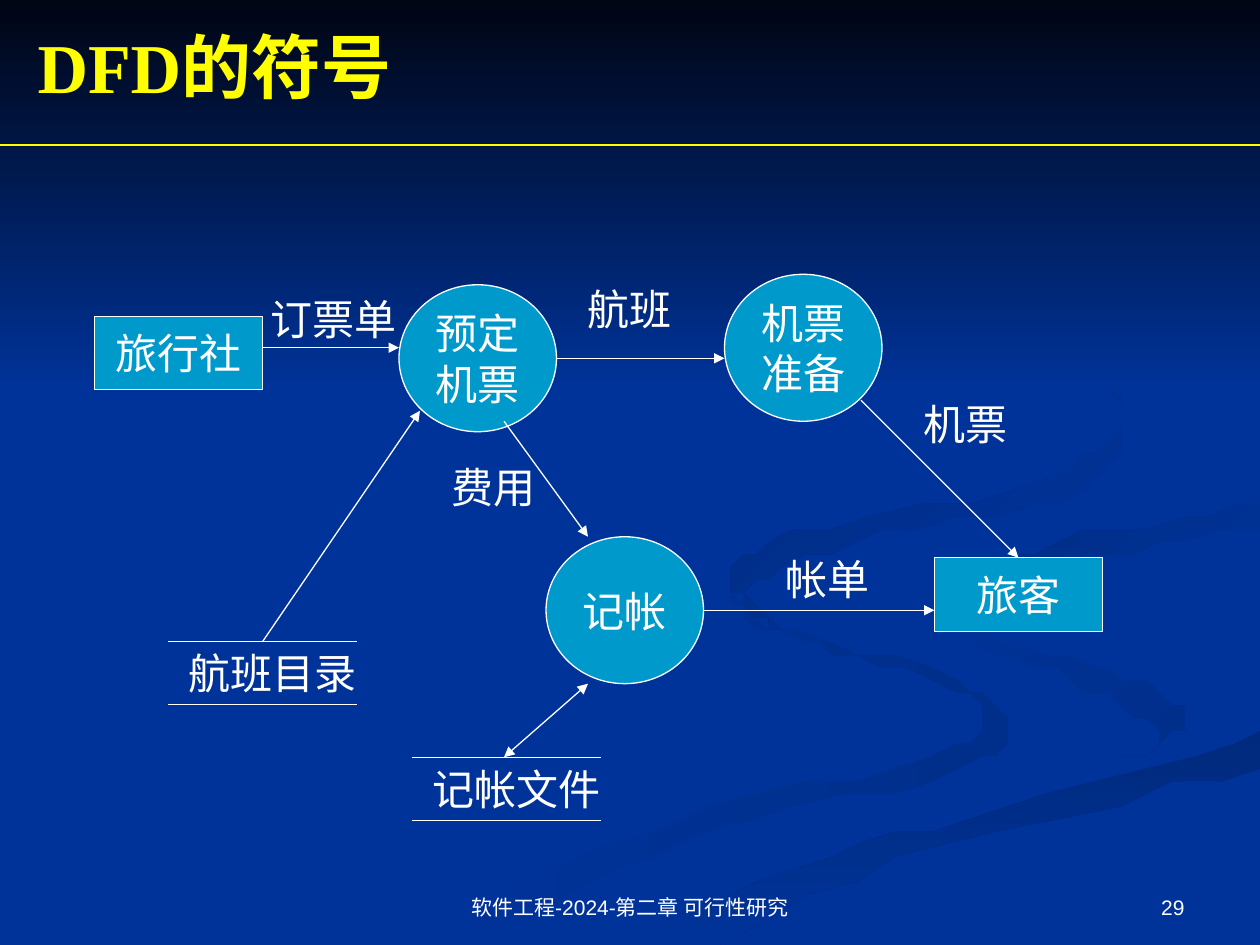
from lxml import etree
from pptx import Presentation
from pptx.dml.color import RGBColor
from pptx.enum.shapes import MSO_CONNECTOR, MSO_SHAPE
from pptx.enum.text import MSO_ANCHOR, PP_ALIGN
from pptx.oxml.ns import qn
from pptx.util import Inches, Pt

LINE = MSO_CONNECTOR.STRAIGHT
RECT, OVAL = MSO_SHAPE.RECTANGLE, MSO_SHAPE.OVAL
LEFT, MID, RIGHT = PP_ALIGN.LEFT, PP_ALIGN.CENTER, PP_ALIGN.RIGHT
TOP, CORE, BASE = MSO_ANCHOR.TOP, MSO_ANCHOR.MIDDLE, MSO_ANCHOR.BOTTOM
WIDE, HIGH = 10, 7.5
SERIF, SANS = "Times New Roman", "Arial"
HUES = {"back": "003399", "night": "000514", "node": "0099CC", "ink": "FFFFFF",
        "title": "FFFF00", "wave": "002E8B", "ridge": "002A7D",
        "bend": "002D86", "loop": "002B82"}
BANDS = [
    ("back", "wave", 0, [
        [(57, 46), (60, 49.5), (68, 52), (78, 56), (74, 60), (52, 65.5), (30, 75)],
        [(36, 75), (56, 66.5), (76, 61), (80, 58), (76, 54), (61, 49.5), (57, 46)]]),
    ("back", "wave", 45, [
        [(72, 46), (78, 50.5), (88, 53), (94, 57), (89, 60.5)],
        [(89, 60.5), (92, 58), (85, 54), (76, 50.5), (72, 46)]]),
    ("ridge", "back", 90, [
        [(50, 75), (63, 69), (80, 64), (100, 58)],
        [(100, 61), (75, 67), (57, 75)]]),
    ("bend", "back", 45, [
        [(83, 49.6), (80.5, 47), (88, 44), (100, 42)],
        [(100, 40), (86, 42.5), (78, 46), (83, 49.6)]]),
    ("loop", "back", 45, [
        [(76, 23), (86, 29), (89, 33.5), (83, 38), (63, 42.5), (58, 46), (62, 50)],
        [(62, 50), (59, 47), (68, 43), (84, 39.6), (89, 35), (87, 29.5), (76, 23)]]),
    ("night", "back", 90, [[(0, 0), (100, 0)], [(100, 31), (0, 31)]]),
]


def tint(name):
    """Return the named colour."""
    return RGBColor.from_string(HUES[name])


def put(shape, text, size=24, font=SERIF, hue="ink", bold=False,
        align=LEFT, anchor=TOP, wrap=False):
    """Write formatted text into a shape."""
    frame = shape.text_frame
    frame.text = text
    frame.word_wrap = wrap
    frame.vertical_anchor = anchor
    for para in frame.paragraphs:
        para.alignment = align
        para.font.size, para.font.name = Pt(size), font
        para.font.bold, para.font.color.rgb = bold, tint(hue)


def note(slide, box, text, **form):
    """Add a text box filling the given box."""
    put(slide.shapes.add_textbox(*map(Inches, box)), text, **form)


def link(slide, start, end, hue="ink", tips=()):
    """Draw a thin line with arrowheads at the named tips."""
    line = slide.shapes.add_connector(LINE, *map(Inches, (*start, *end)))
    line.line.color.rgb, line.line.width = tint(hue), Pt(0.75)
    for tip in tips:
        etree.SubElement(line.line._get_or_add_ln(), qn(f"a:{tip}"), type="triangle")
    etree.SubElement(line._element.spPr, qn("a:effectLst"))


def curve(knots, steps=6):
    """Return points on a smooth curve through the knots."""
    ends = [knots[0], *knots, knots[-1]]
    spots = [knots[0]]
    for quad in zip(ends, ends[1:], ends[2:], ends[3:]):
        for step in range(1, steps + 1):
            t = step / steps
            spots.append(tuple(
                b + t / 2 * (c - a + t * (2 * a - 5 * b + 4 * c - d
                                          + t * (3 * (b - c) + d - a)))
                for a, b, c, d in zip(*quad)))
    return spots


def scene(slide, box):
    """Paint the backdrop and its curved bands on a grid of 100 columns."""
    left, top, width, _ = box
    slide.background.fill.solid()
    slide.background.fill.fore_color.rgb = tint("back")
    for first, last, turn, edges in BANDS:
        spots = [spot for edge in edges for spot in curve(edge)]
        pen = slide.shapes.build_freeform(*spots[0], scale=Inches(width / 100))
        pen.add_line_segments(spots[1:], close=True)
        band = pen.convert_to_shape(Inches(left), Inches(top))
        band.shadow.inherit = False
        band.line.fill.background()
        band.fill.gradient()
        band.fill.gradient_angle = (360 - turn) % 360
        for stop, hue in zip(band.fill.gradient_stops, (first, last)):
            stop.color.rgb = tint(hue)


def head(slide, box):
    """Place the title above its rule."""
    left, top, width, height = box
    note(slide, (left + width * 0.02, top + height * 0.12, width * 0.9, height * 0.67),
         "DFD的符号", size=40, hue="title", bold=True, anchor=CORE, wrap=True)
    link(slide, (left, top + height), (left + width, top + height), hue="title")


def chart(slide, box):
    """Draw the data flow diagram on a grid of 120 columns."""
    left, top, width, _ = box
    unit = width / 120

    def spot(col, row):
        """Turn a grid point into inches."""
        return left + col * unit, top + row * unit

    def label(col, row, text):
        """Place a label as wide as its characters."""
        note(slide, (*spot(col, row), (4 * len(text) + 2.4) * unit, 6 * unit), text)

    sizes = {RECT: (16, 7), OVAL: (15, 14)}
    for kind, col, row, text in [
            (RECT, 9, 30, "旅行社"), (RECT, 89, 53, "旅客"),
            (OVAL, 38, 27, "预定\n机票"), (OVAL, 69, 26, "机票\n准备"),
            (OVAL, 52, 51, "记帐")]:
        size = [Inches(span * unit) for span in sizes[kind]]
        node = slide.shapes.add_shape(kind, *map(Inches, spot(col, row)), *size)
        node.shadow.inherit = False
        node.fill.solid()
        node.fill.fore_color.rgb = tint("node")
        node.line.color.rgb, node.line.width = tint("ink"), Pt(0.75)
        put(node, text, align=MID, anchor=CORE)
    for col, row, text in [(16, 61, "航班目录"), (39.2, 72, "记帐文件")]:
        for edge in (row, row + 6):
            link(slide, spot(col, edge), spot(col + 18, edge))
        label(col + 0.8, row, text)
    for start, end, *more in [
            ((25, 33), (38, 33)), ((53, 34), (69, 34)), ((82, 38), (97, 53)),
            ((48, 40), (56, 51)), ((25, 61), (40, 39)),
            ((48, 72), (56, 65), "headEnd"), ((67, 58), (89, 58))]:
        link(slide, spot(*start), spot(*end), tips=(*more, "tailEnd"))
    for flow in [(24.6, 27.2, "订票单"), (54.8, 26.3, "航班"), (41.8, 43.2, "费用"),
                 (73.6, 52, "帐单"), (86.8, 37.2, "机票")]:
        label(*flow)


def foot(slide, box):
    """Place the course line and the page number."""
    left, top, width, height = box
    for start, span, text, align in [
            (0.34, 0.32, "软件工程-2024-第二章 可行性研究", MID),
            (0.72, 0.23, "29", RIGHT)]:
        note(slide, (left + start * width, top, span * width, height), text,
             size=12, font=SANS, align=align, anchor=BASE, wrap=True)


def main():
    """Build and save the slide."""
    deck = Presentation()
    deck.slide_width, deck.slide_height = Inches(WIDE), Inches(HIGH)
    slide = deck.slides.add_slide(deck.slide_layouts[6])
    scene(slide, (0, 0, WIDE, HIGH))
    head(slide, (0, 0, WIDE, 1.15))
    chart(slide, (0, 0.01, WIDE, HIGH))
    foot(slide, (0, 6.83, WIDE, 0.52))
    deck.save("out.pptx")


if __name__ == "__main__":
    main()
